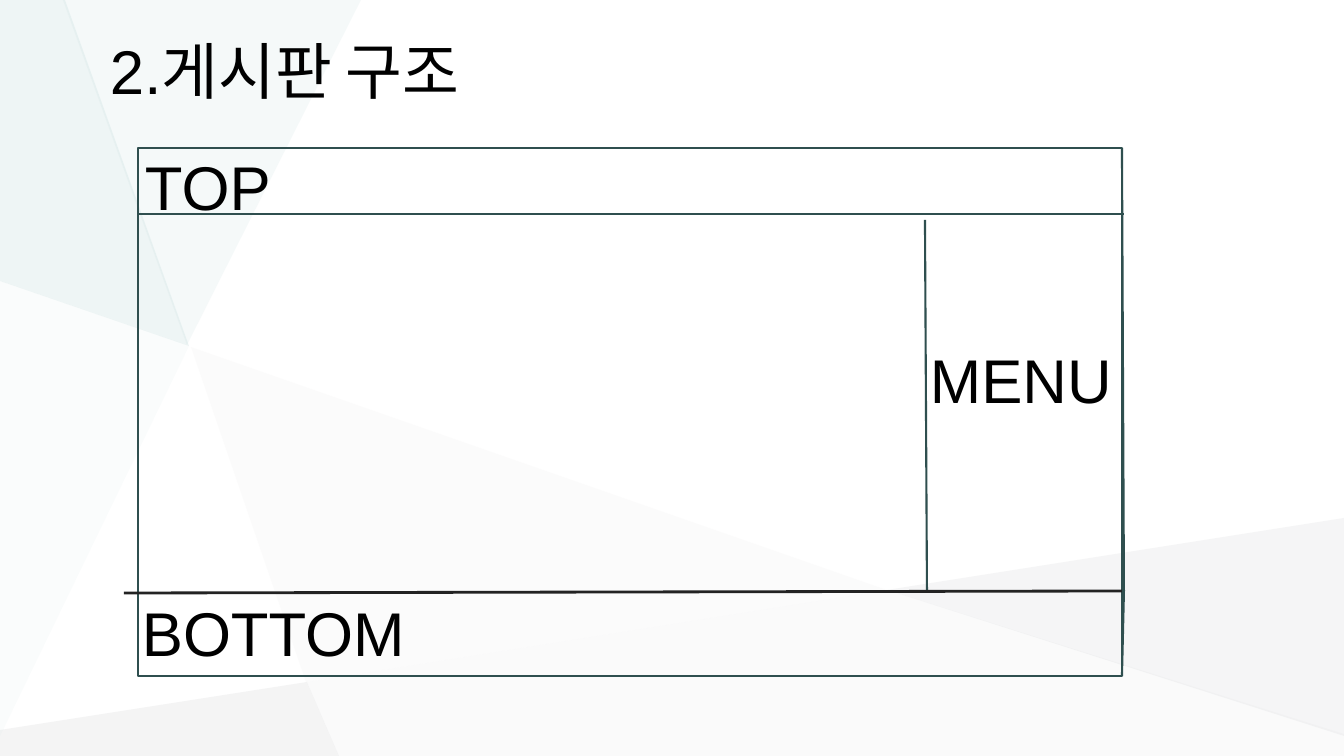
from pptx import Presentation
from pptx.dml.color import RGBColor as RGB
from pptx.enum.shapes import MSO_CONNECTOR as Link, MSO_SHAPE as Shape
from pptx.enum.text import MSO_ANCHOR as Anchor
from pptx.oxml.ns import qn
from pptx.util import Emu, Pt
from lxml.etree import SubElement

PX = 914400 / 101
SIZE = (1344, 756)

THEME = {
    "font": "Arial", "size": 44, "ink": "000000",
    "frame": "2F4F4F", "base": "232323",
    "thin": 1.5, "thick": 2,
}

# Background facets: colour, opacity in percent, corners
FACETS = [
    ("F3F2F2", 26, [(191, 347), (306, 682), (887, 590)]),
    ("B6B8BA", 15, [(307, 682), (0, 730), (0, 756), (339, 756)]),
    ("E0EDED", 31, [(361, 0), (63, 0), (187, 345)]),
    ("C6C8CA", 17, [(1344, 518), (887, 590), (1344, 736)]),
    ("B6B8BA", 6, [(887, 590), (307, 682), (339, 756), (1344, 756), (1344, 734)]),
    ("C1DBDB", 27, [(65, 0), (0, 0), (0, 281), (189, 346)]),
    ("C1DBDB", 8, [(0, 281), (0, 736), (189, 346)]),
]

# Board outline: left, top, width, height
BOARD = (138, 148, 984, 528)

# Rules: start, end, colour, weight
RULES = [
    ((1122, 148), (1124, 591), "frame", "thin"),
    ((1124, 591), (1122, 676), "frame", "thin"),
    ((138, 214), (1124, 214), "frame", "thin"),
    ((925, 220), (927, 590), "frame", "thin"),
    ((124, 593), (1122, 591), "base", "thick"),
]

# Labels: text, left, top, width, height
LABELS = [
    ("2.게시판 구조", 100, 28, 1211, 84),
    ("TOP", 135, 143, 243, 85),
    ("MENU", 920, 336, 271, 85),
    ("BOTTOM", 132, 589, 350, 85),
]


def emu(*vals):
    return [Emu(round(v * PX)) for v in vals]


def tint(fill, hue, alpha):
    fill.solid()
    fill.fore_color.rgb = RGB.from_string(hue)
    node = fill._xPr.find(qn("a:solidFill"))[0]
    SubElement(node, qn("a:alpha"), val=str(alpha * 1000))


def stroke(line, hue, weight):
    line.color.rgb = RGB.from_string(THEME[hue])
    line.width = Pt(THEME[weight])


def label(text, box, size=THEME["size"], ink=THEME["ink"]):
    frame = shapes.add_textbox(*emu(*box)).text_frame
    frame.word_wrap = True
    frame.vertical_anchor = Anchor.MIDDLE
    run = frame.paragraphs[0].add_run()
    run.text = text
    run.font.name = THEME["font"]
    run.font.size = Pt(size)
    run.font.color.rgb = RGB.from_string(ink)


deck = Presentation()
deck.slide_width, deck.slide_height = emu(*SIZE)
shapes = deck.slides.add_slide(deck.slide_layouts[6]).shapes

# Background
for hue, alpha, pts in FACETS:
    path = shapes.build_freeform(*pts[0], scale=PX)
    path.add_line_segments(pts[1:], close=True)
    facet = path.convert_to_shape()
    facet.shadow.inherit = False
    facet.line.fill.background()
    tint(facet.fill, hue, alpha)

# Board outline
board = shapes.add_shape(Shape.RECTANGLE, *emu(*BOARD))
board.shadow.inherit = False
board.fill.background()
stroke(board.line, "frame", "thin")

# Dividers and the bent right edge
for start, end, hue, weight in RULES:
    rule = shapes.add_connector(Link.STRAIGHT, *emu(*start, *end))
    stroke(rule.line, hue, weight)
    SubElement(rule._element.spPr, qn("a:effectLst"))

# Title and area names
for text, *box in LABELS:
    label(text, box)

deck.save("out.pptx")
